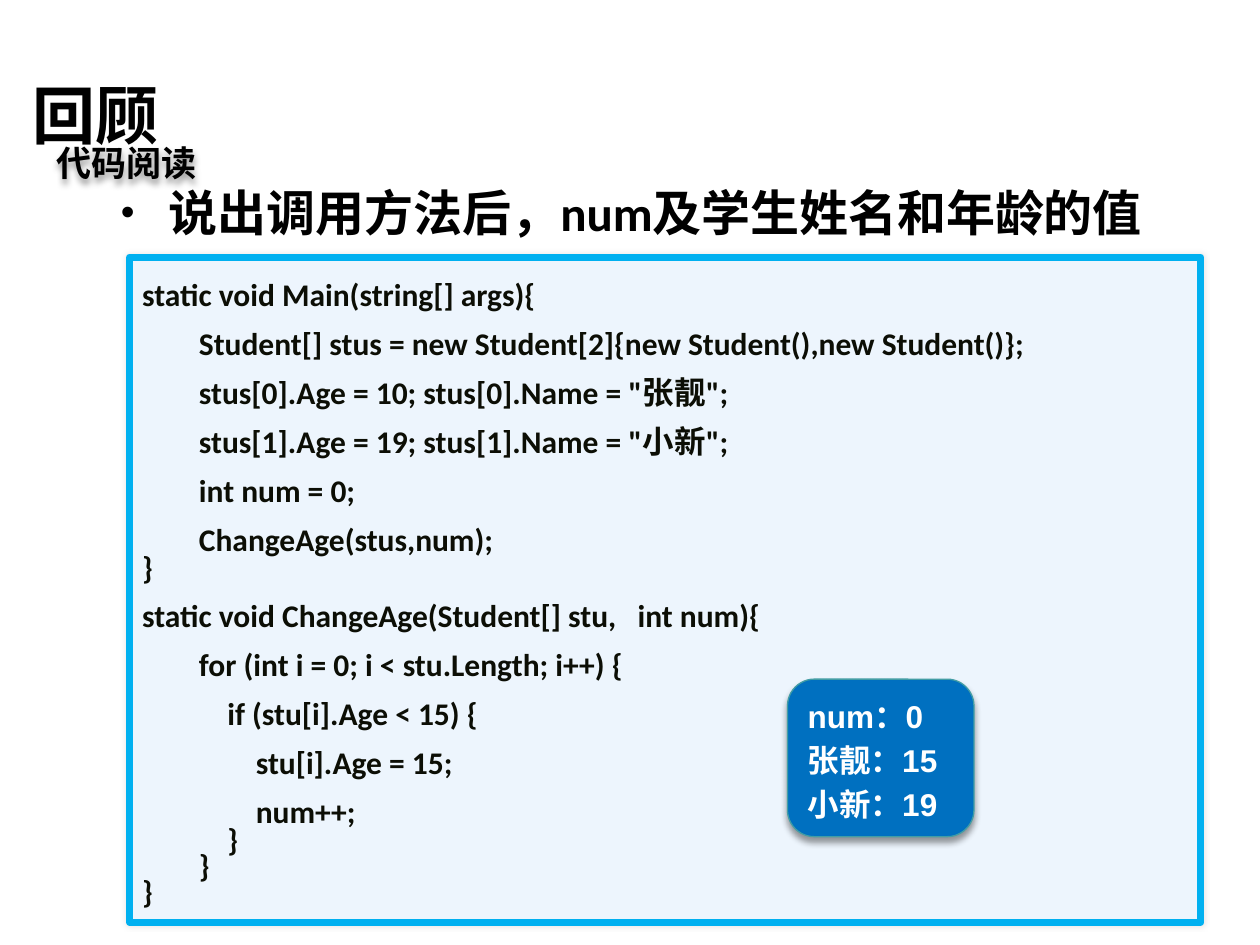
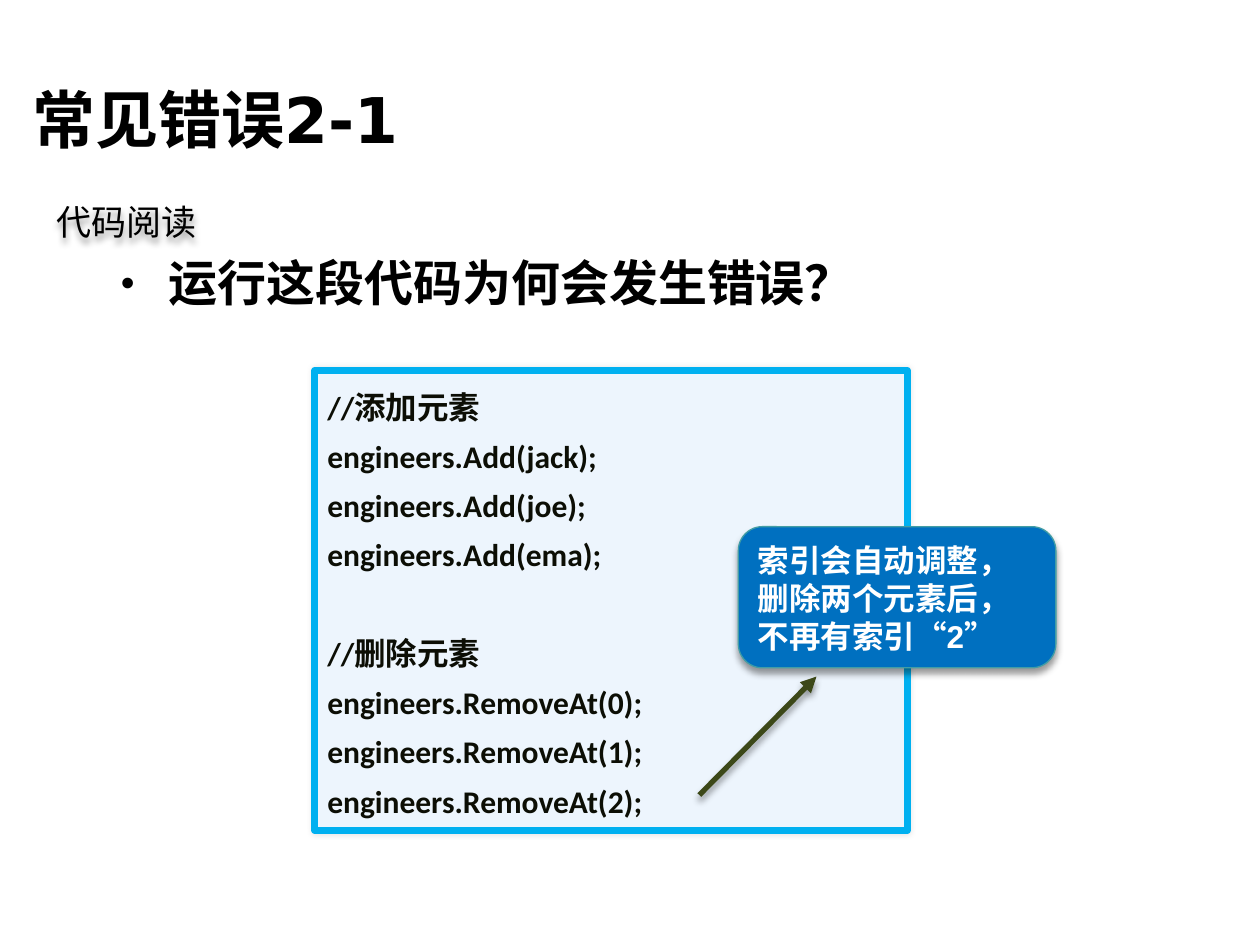
from lxml import etree
from pptx import Presentation
from pptx.dml.color import RGBColor
from pptx.enum.shapes import MSO_CONNECTOR, MSO_SHAPE
from pptx.enum.text import MSO_ANCHOR, MSO_AUTO_SIZE, PP_ALIGN
from pptx.oxml import parse_xml
from pptx.oxml.ns import qn
from pptx.util import Inches, Pt

ROUNDED = MSO_SHAPE.ROUNDED_RECTANGLE
SPEECH = MSO_SHAPE.ROUNDED_RECTANGULAR_CALLOUT
STRAIGHT = MSO_CONNECTOR.STRAIGHT
LEFT = PP_ALIGN.LEFT
TOP, MIDDLE, BOTTOM = MSO_ANCHOR.TOP, MSO_ANCHOR.MIDDLE, MSO_ANCHOR.BOTTOM
NO_FIT = MSO_AUTO_SIZE.NONE

BLACK = RGBColor(0x00, 0x00, 0x00)
WHITE = RGBColor(0xFF, 0xFF, 0xFF)
CODE_INK = RGBColor(0x0C, 0x0E, 0x05)
CODE_FILL = RGBColor(0xED, 0xF5, 0xFD)
CODE_EDGE = RGBColor(0x00, 0xB0, 0xF0)
ANSWER_FILL = RGBColor(0x00, 0x70, 0xC0)
ANSWER_EDGE = RGBColor(0x42, 0x9D, 0xA5)
ARROW_INK = RGBColor(0x3C, 0x48, 0x18)

CHINESE_FONT = "Noto Sans CJK SC"
DRAWING = "http://schemas.openxmlformats.org/drawingml/2006/main"
CODE_LINE, BRACE_LINE = 1.3, 0.7
CODE_GAP = Pt(28.5)

# Shadows: blur (pt), distance (pt), direction (degrees), opacity (%)
GLOW = (3, 0, 0, 10)
DROP = (4, 3, 90, 40)

# The slide is a grid of 100 columns by 75 rows; areas are left, top, width, height.
COLUMNS = 100
deck = Presentation()
deck.slide_width, deck.slide_height = Inches(10), Inches(7.5)
CELL = deck.slide_width / COLUMNS

REVIEW_CODE = """static void Main(string[] args){
        Student[] stus = new Student[2]{new Student(),new Student()};
        stus[0].Age = 10; stus[0].Name = "张靓";
        stus[1].Age = 19; stus[1].Name = "小新";
        int num = 0;
        ChangeAge(stus,num);
}
static void ChangeAge(Student[] stu,   int num){
        for (int i = 0; i < stu.Length; i++) {
            if (stu[i].Age < 15) {
                stu[i].Age = 15;
                num++;
            }
        }
}"""

ERROR_CODE = """//添加元素
engineers.Add(jack);
engineers.Add(joe);
engineers.Add(ema);

//删除元素
engineers.RemoveAt(0);
engineers.RemoveAt(1);
engineers.RemoveAt(2);"""

PAGES = [
    {
        "title": ("回顾", (1.6, 5.2, 96.7, 7.8)),
        "question": ("说出调用方法后，num及学生姓名和年龄的值", (8.6, 14, 90, 6.3), 1),
        "code": (REVIEW_CODE, (10.3, 20.4, 85, 52.8)),
        "answer": (["num：0", "张靓：15", "小新：19"], (62.5, 53.9, 14.8, 12.5),
                   ROUNDED, [0.17]),
        "label": ((3.5, 10.7, 13.3, 4.4), True),
        "arrow": None,
    },
    {
        "title": ("常见错误2-1", (1.6, 5.5, 96.7, 7.8)),
        "question": ("运行这段代码为何会发生错误？", (8.6, 20.1, 70.1, 5.5), 0.9),
        "code": (ERROR_CODE, (25, 29.4, 47, 36.5)),
        "answer": (["索引会自动调整，删除两个元素后，不再有索引“2”"],
                   (58.6, 41.8, 25.2, 11.2), SPEECH, [-0.34, 0.5, 0.17]),
        "label": ((3.5, 15.4, 13.3, 4.4), False),
        "arrow": (55.5, 63.1, 64.8, 53.7),
    },
]


def grid(cells):
    """Turn grid positions into slide lengths."""
    return [round(CELL * cell) for cell in cells]


def write(para, text, face, size, color, bold=True):
    para.alignment = LEFT
    span = para.add_run()
    span.text = text
    span.font.name, span.font.size = face, Pt(size)
    span.font.bold, span.font.color.rgb = bold, color
    east_asian = etree.SubElement(span.font._element, qn("a:ea"))
    east_asian.set("typeface", CHINESE_FONT)


for content in PAGES:
    page = deck.slides.add_slide(deck.slide_layouts[1])
    title, question = page.placeholders

    text, area = content["title"]
    title.left, title.top, title.width, title.height = grid(area)
    title.text_frame.auto_size = NO_FIT
    title.text_frame.vertical_anchor = MIDDLE
    write(title.text_frame.paragraphs[0], text, "DejaVu Sans", 36, BLACK)

    text, area, spacing = content["question"]
    question.left, question.top, question.width, question.height = grid(area)
    question.text_frame.auto_size = NO_FIT
    question.text_frame.vertical_anchor = TOP
    para = question.text_frame.paragraphs[0]
    properties = para._p.get_or_add_pPr()
    properties.set("marL", str(Inches(0.38)))
    properties.set("indent", str(-Inches(0.38)))
    for bullet in (
        f'<a:buClr xmlns:a="{DRAWING}"><a:srgbClr val="{BLACK}"/></a:buClr>',
        f'<a:buSzPct xmlns:a="{DRAWING}" val="80000"/>',
        f'<a:buFont xmlns:a="{DRAWING}" typeface="Arial"/>',
        f'<a:buChar xmlns:a="{DRAWING}" char="•"/>',
    ):
        properties.append(parse_xml(bullet))
    para.line_spacing, para.space_before = spacing, Pt(0)
    write(para, text, "Calibri", 28, BLACK)

    code, area = content["code"]
    code_box = page.shapes.add_shape(ROUNDED, *grid(area))
    code_box.adjustments[0] = 0
    answer, area, outline, adjustments = content["answer"]
    answer_box = page.shapes.add_shape(outline, *grid(area))
    for index, value in enumerate(adjustments):
        answer_box.adjustments[index] = value

    for box, fill, edge, weight, anchor in (
        (code_box, CODE_FILL, CODE_EDGE, 4, TOP),
        (answer_box, ANSWER_FILL, ANSWER_EDGE, 0.75, BOTTOM),
    ):
        box.fill.solid()
        box.fill.fore_color.rgb = fill
        box.line.color.rgb, box.line.width = edge, Pt(weight)
        box.text_frame.word_wrap = True
        box.text_frame.vertical_anchor = anchor

    frame = code_box.text_frame
    para, gap = frame.paragraphs[0], Pt(0)
    for number, line in enumerate(code.split("\n")):
        if not line:
            gap = CODE_GAP
            continue
        if number:
            para = frame.add_paragraph()
        para.line_spacing = BRACE_LINE if line.strip() == "}" else CODE_LINE
        para.space_before, gap = gap, Pt(0)
        write(para, line, "Calibri", 18, CODE_INK)

    frame = answer_box.text_frame
    for number, line in enumerate(answer):
        para = frame.add_paragraph() if number else frame.paragraphs[0]
        para.space_before = Pt(3.6 if number else 0)
        write(para, line, "Arial", 18, WHITE)

    area, bold = content["label"]
    label = page.shapes.add_textbox(*grid(area))
    label.text_frame.word_wrap = False
    write(label.text_frame.paragraphs[0], "代码阅读", CHINESE_FONT, 20, BLACK, bold)

    shadows = [(code_box, GLOW), (answer_box, DROP), (label, DROP)]
    if content["arrow"]:
        arrow = page.shapes.add_connector(STRAIGHT, *grid(content["arrow"]))
        arrow.line.color.rgb, arrow.line.width = ARROW_INK, Pt(3)
        head = etree.SubElement(arrow.line._get_or_add_ln(), qn("a:tailEnd"))
        head.set("type", "triangle")
        shadows.append((arrow, DROP))

    for item, (blur, distance, direction, opacity) in shadows:
        effects = etree.SubElement(item._element.spPr, qn("a:effectLst"))
        effects.append(parse_xml(
            f'<a:outerShdw xmlns:a="{DRAWING}" blurRad="{Pt(blur)}" '
            f'dist="{Pt(distance)}" dir="{direction * 60000}" rotWithShape="0">'
            f'<a:srgbClr val="{BLACK}"><a:alpha val="{opacity * 1000}"/></a:srgbClr>'
            '</a:outerShdw>'))

deck.save("out.pptx")
